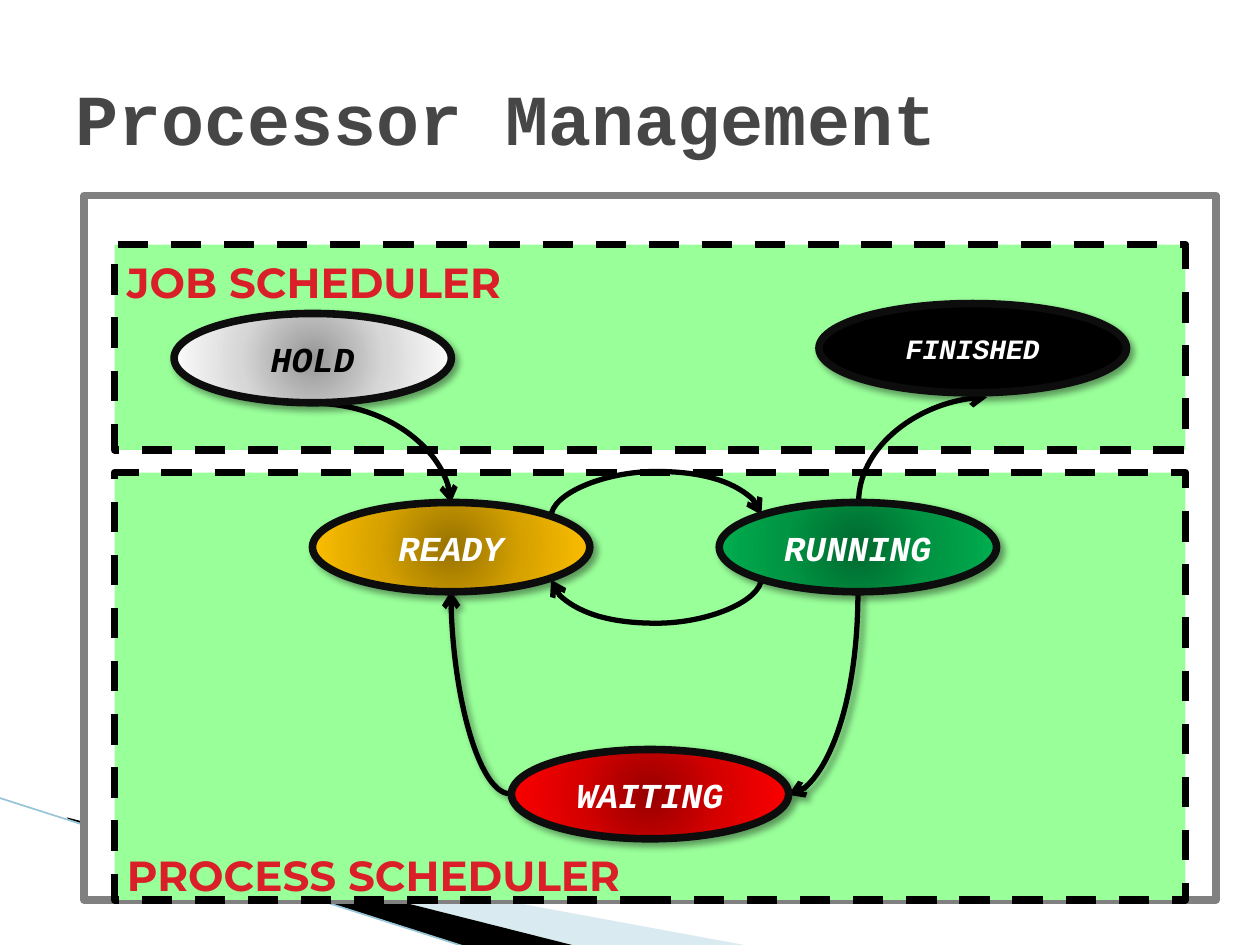
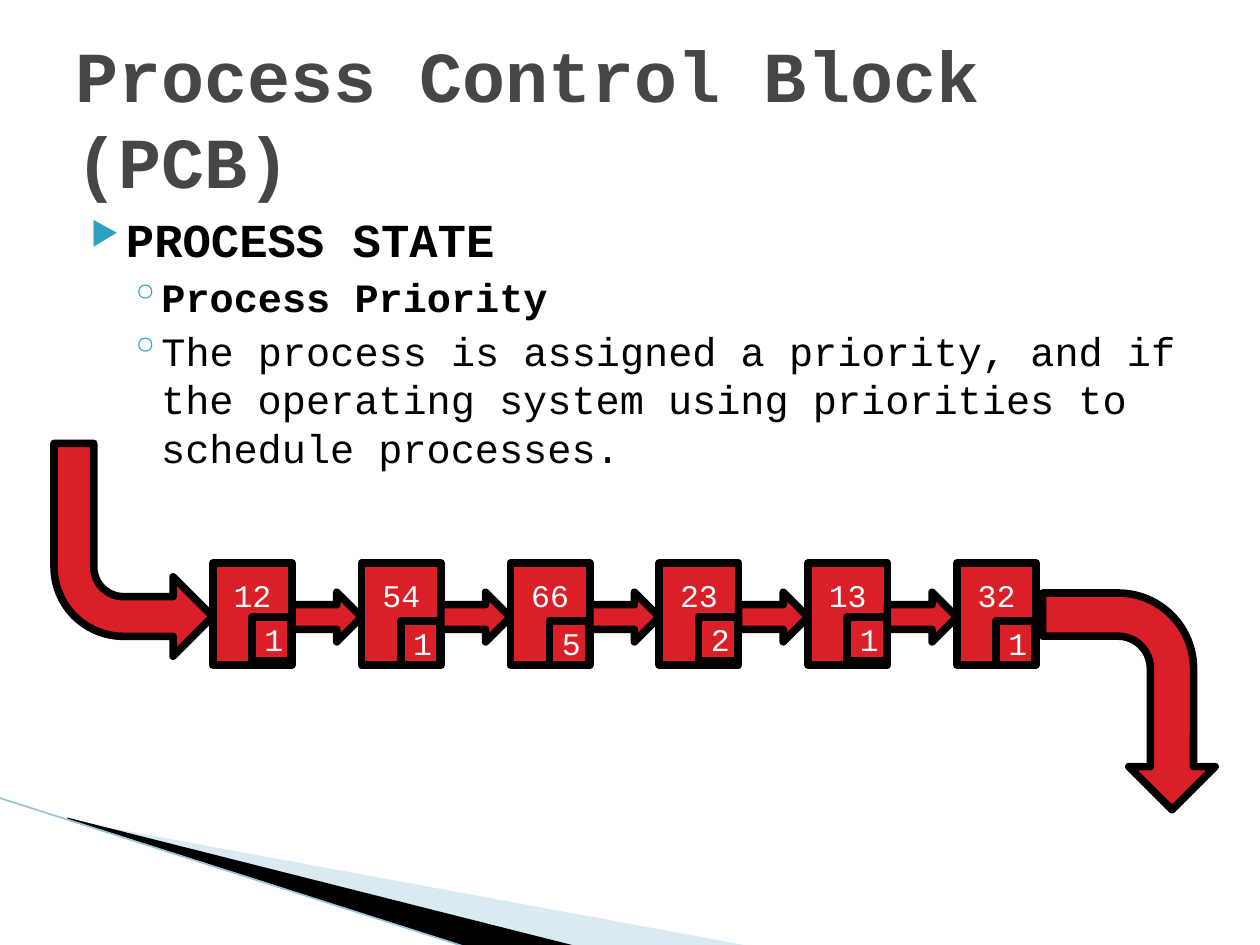
"""Build two slides on process states and process priority."""
from pptx import Presentation
from pptx.dml.color import RGBColor
from pptx.enum.dml import MSO_LINE
from pptx.enum.shapes import MSO_CONNECTOR, MSO_SHAPE
from pptx.enum.text import MSO_ANCHOR, PP_ALIGN
from pptx.oxml import parse_xml
from pptx.oxml.ns import nsdecls, qn
from pptx.util import Cm, Pt


class Theme:
    ink, white, grey = "000000", "FFFFFF", "808080"
    red, green, rim = "DA1F28", "99FF99", "0D0D0D"
    sky, blue, teal = "A0CBDC", "97C5D8", "2DA2BF"
    edge, curve, thin = 4.33, 3, 0.95
    title = {"name": "Courier New", "size": Pt(41), "bold": True, "color": "464646"}
    label = {"name": "Montserrat", "size": Pt(24), "bold": True, "color": red}
    state = {"name": "Courier New", "size": Pt(20), "bold": True, "italic": True, "color": white}
    num = {"name": "Courier New", "size": Pt(18), "color": white}
    head = {"name": "Courier New", "size": Pt(27), "bold": True, "color": ink}
    sub = head | {"size": Pt(23)}
    text = sub | {"bold": False}


NS = nsdecls("a")
SHADE = (f'<a:outerShdw {NS} blurRad="50800" dist="38100" dir="2700000">'
         '<a:srgbClr val="000000"><a:alpha val="40000"/></a:srgbClr></a:outerShdw>')


def write(para, words, look, align=PP_ALIGN.LEFT):
    run = para.add_run()
    run.text = words
    para.alignment = align
    for key, val in look.items():
        if key == "color":
            run.font.color.rgb = RGBColor.from_string(val)
        else:
            setattr(run.font, key, val)


def put(slide, kind, box, fill, line=Theme.ink, words="", look=None, **frame):
    shape = slide.shapes.add_shape(kind, *map(Cm, box))
    shape.shadow.inherit = False
    shape.fill.solid()
    shape.fill.fore_color.rgb = RGBColor.from_string(fill)
    shape.line.color.rgb = RGBColor.from_string(line)
    shape.line.width = Pt(Theme.edge)
    if words:
        form = {"vertical_anchor": MSO_ANCHOR.MIDDLE, "word_wrap": True} | frame
        align = form.pop("align", PP_ALIGN.CENTER)
        for key, val in form.items():
            setattr(shape.text_frame, key, val)
        write(shape.text_frame.paragraphs[0], words, look, align)
    return shape


deck = Presentation()
deck.slide_width, deck.slide_height = Cm(25.4), Cm(19.05)

bands = [
    (Theme.sky, 40, [(140, 1654), (1511, 1907), (1158, 1907), (140, 1651)]),
    (Theme.ink, 100, [(135, 1648), (1161, 1907), (945, 1910), (137, 1651)]),
]
pages = []
for name in ("Processor Management", "Process Control Block (PCB)"):
    slide = deck.slides.add_slide(deck.slide_layouts[6])
    for tint, alpha, dots in bands:
        pen = slide.shapes.build_freeform(*dots[0], scale=Cm(0.01))
        pen.add_line_segments(dots[1:])
        band = pen.convert_to_shape()
        band.shadow.inherit = False
        band.line.fill.background()
        band.fill.solid()
        band.fill.fore_color.rgb = RGBColor.from_string(tint)
        clr = band.element.spPr.find(qn("a:solidFill"))[0]
        clr.append(parse_xml(f'<a:alpha {NS} val="{alpha * 1000}"/>'))
    rule = slide.shapes.add_connector(
        MSO_CONNECTOR.STRAIGHT, Cm(-0.03), Cm(16.08), Cm(9.42), Cm(19.1))
    rule.line.color.rgb = RGBColor.from_string(Theme.blue)
    rule.line.width = Pt(Theme.thin)
    rule.element.spPr.append(parse_xml(f"<a:effectLst {NS}/>"))
    title = slide.shapes.add_textbox(Cm(1.27), Cm(0.76), Cm(22.86), Cm(3.18)).text_frame
    title.word_wrap = True
    title.vertical_anchor = MSO_ANCHOR.MIDDLE
    write(title.paragraphs[0], name, Theme.title)
    pages.append(slide)
flow, queue = pages

put(flow, MSO_SHAPE.RECTANGLE, (1.7, 3.94, 22.81, 14.2), Theme.white, Theme.grey)
zones = [
    ("PROCESS SCHEDULER", 9.53, 8.61, {"vertical_anchor": MSO_ANCHOR.BOTTOM, "margin_bottom": 0}),
    ("JOB SCHEDULER", 4.93, 4.14, {"vertical_anchor": MSO_ANCHOR.TOP, "margin_top": Cm(0.25)}),
]
for name, top, high, frame in zones:
    zone = put(flow, MSO_SHAPE.RECTANGLE, (2.31, top, 21.59, high), Theme.green,
               words=name, look=Theme.label, align=PP_ALIGN.LEFT, **frame)
    zone.line.dash_style = MSO_LINE.DASH

curves = [
    (9.09, 11.91, 1.19, 4.09, 180, False, True),
    (14.55, 13.28, 4.09, 1.4, 90, False, True),
    (13.21, 8.28, 0.04, 4.24, 90, True, False),
    (13.21, 9.55, 0.04, 4.24, 90, False, False),
    (6.3, 8.13, 2.79, 2.01, 0, False, False),
    (17.55, 7.77, 2.11, 2.59, 90, True, False),
]
for left, top, wide, high, turn, flip, shade in curves:
    ends = [(left, top), (left + wide, top + high)]
    if flip:
        ends.reverse()
    curve = flow.shapes.add_connector(
        MSO_CONNECTOR.CURVE, *(Cm(val) for end in ends for val in end))
    curve.line.color.rgb = RGBColor.from_string(Theme.ink)
    curve.line.width = Pt(Theme.curve)
    props = curve.element.spPr
    props.find(qn("a:xfrm")).set("rot", str(turn * 60000))
    geom = props.find(qn("a:prstGeom"))
    if wide < 0.1:
        guide = parse_xml(f'<a:gd {NS} name="adj1" fmla="val 2286000"/>')
        geom.find(qn("a:avLst")).append(guide)
    else:
        geom.set("prst", "curvedConnector2")
    props.find(qn("a:ln")).append(parse_xml(f'<a:tailEnd {NS} type="arrow"/>'))
    glow = parse_xml(f"<a:effectLst {NS}/>")
    if shade:
        glow.append(parse_xml(SHADE))
    props.append(glow)

dark = {"color": Theme.ink}
small = {"size": Pt(16)}
states = [
    ("HOLD", 3.51, 6.32, 5.59, ("979797", "D7D7D7", "FFFFFF"), dark),
    ("READY", 6.3, 10.13, 5.59, ("977200", "D7A200", "FFC000"), {}),
    ("WAITING", 10.31, 15.11, 5.59, ("970000", "D70000", "FF0000"), {}),
    ("RUNNING", 14.5, 10.13, 5.59, ("00682F", "009443", "00B050"), {}),
    ("FINISHED", 16.51, 6.12, 6.2, (), small),
]
for name, left, top, wide, tones, more in states:
    state = put(flow, MSO_SHAPE.OVAL, (left, top, wide, 1.8), Theme.ink, Theme.rim,
                name, Theme.state | more)
    props = state.element.spPr
    props.find(qn("a:effectLst")).append(parse_xml(SHADE))
    if tones:
        stops = "".join(f'<a:gs pos="{i * 50000}"><a:srgbClr val="{tone}"/></a:gs>'
                        for i, tone in enumerate(tones))
        blend = parse_xml(
            f'<a:gradFill {NS}><a:gsLst>{stops}</a:gsLst><a:path path="circle">'
            '<a:fillToRect l="50000" t="50000" r="50000" b="50000"/></a:path></a:gradFill>')
        props.replace(props.find(qn("a:solidFill")), blend)

body = queue.shapes.add_textbox(Cm(1.27), Cm(4.11), Cm(22.86), Cm(12.57)).text_frame
body.word_wrap = True
points = [
    ("PROCESS STATE", Theme.head, 0, "▶", 68, 1.02, 0.71, 4),
    ("Process Priority", Theme.sub, 1, "◦", 100, 1.73, 0.64, 3.2),
    ("The process is assigned a priority, and if the operating system using priorities "
     "to schedule processes.", Theme.text, 1, "◦", 100, 1.73, 0.64, 3.2),
]
for i, (words, look, level, mark, size, left, hang, gap) in enumerate(points):
    para = body.add_paragraph() if i else body.paragraphs[0]
    write(para, words, look)
    para.level = level
    para.space_before = Pt(gap)
    props = para._p.get_or_add_pPr()
    props.set("marL", str(Cm(left)))
    props.set("indent", str(-Cm(hang)))
    for tag in (f'<a:buClr {NS}><a:srgbClr val="{Theme.teal}"/></a:buClr>',
                f'<a:buSzPct {NS} val="{size * 1000}"/>',
                f'<a:buChar {NS} char="{mark}"/>'):
        props.append(parse_xml(tag))

jobs = [("12", "1", 12.44), ("54", "1", 12.52), ("66", "5", 12.52),
        ("23", "2", 12.44), ("13", "1", 12.44), ("32", "1", 12.52)]
first, step = 4.29, 3.0
for i, (job, rank, top) in enumerate(jobs):
    left = first + i * step
    put(queue, MSO_SHAPE.RECTANGLE, (left, 11.35, 1.6, 2.06), Theme.red, words=job,
        look=Theme.num, vertical_anchor=MSO_ANCHOR.TOP, margin_top=Cm(0.27))
    if i < len(jobs) - 1:
        put(queue, MSO_SHAPE.RIGHT_ARROW, (left + 1.6, 11.94, 1.4, 1), Theme.red)

enter = put(queue, MSO_SHAPE.BENT_ARROW, (1.09, 8.94, 3.2, 4.29), Theme.red)
enter.element.spPr.find(qn("a:xfrm")).set("flipV", "1")
leave = put(queue, MSO_SHAPE.BENT_ARROW, (20.57, 12.4, 4.37, 3.48), Theme.red)
leave.rotation = 90

for i, (job, rank, top) in enumerate(jobs):
    put(queue, MSO_SHAPE.RECTANGLE, (first + i * step + 0.79, top, 0.79, 0.89), Theme.red,
        words=rank, look=Theme.num)

deck.save("out.pptx")
